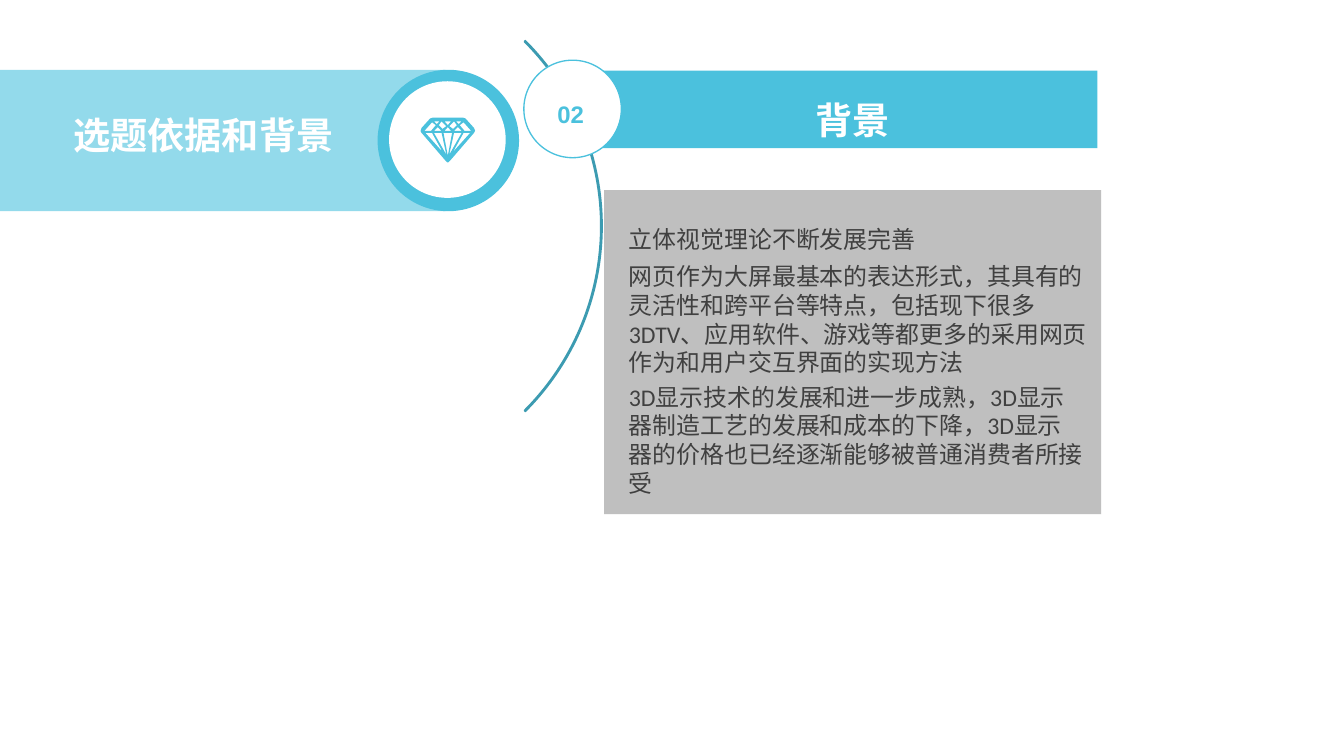
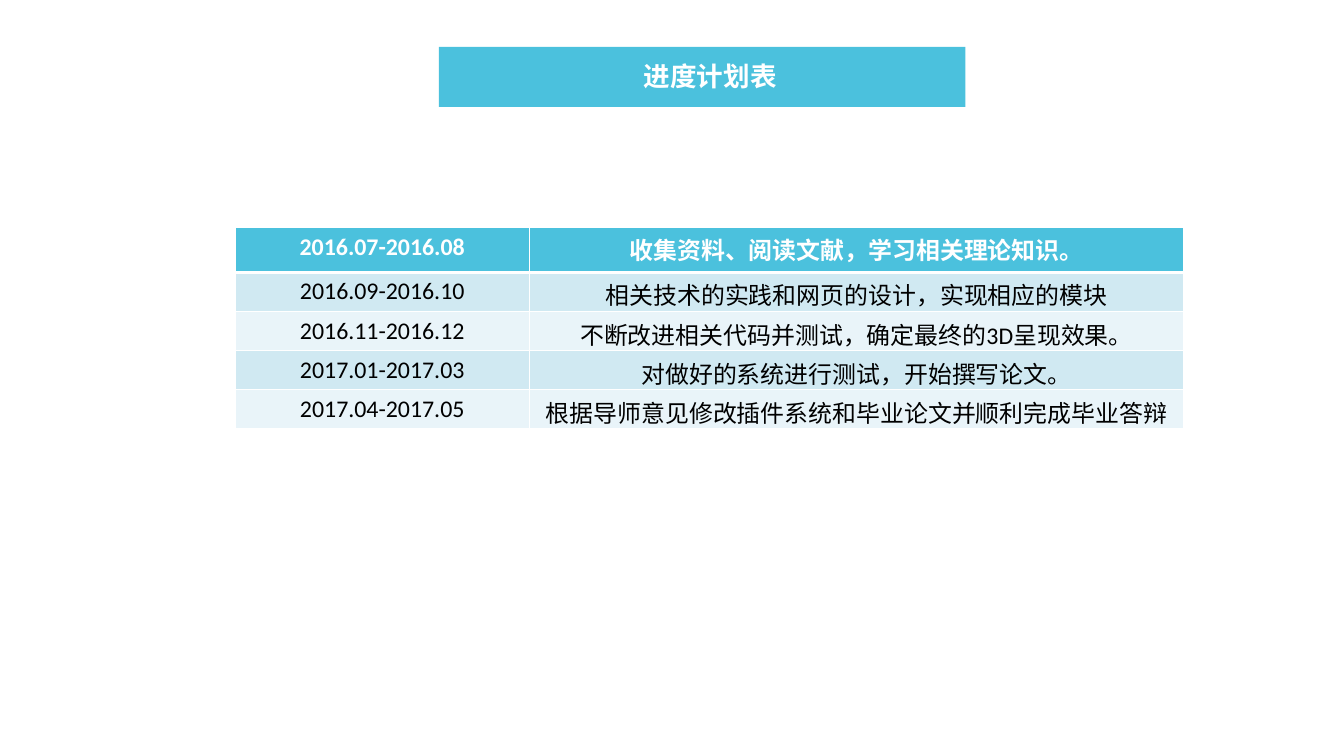
"""Build a two-slide thesis deck: topic background and schedule."""
from dataclasses import dataclass
from typing import NamedTuple

from lxml.etree import SubElement
from pptx import Presentation
from pptx.dml.color import RGBColor as RGB
from pptx.enum.shapes import MSO_SHAPE as SHAPE
from pptx.enum.text import MSO_ANCHOR as ANCHOR, MSO_AUTO_SIZE as FIT, PP_ALIGN as ALIGN
from pptx.oxml.ns import qn
from pptx.shapes.autoshape import Shape
from pptx.slide import Slide
from pptx.table import _Cell as Cell
from pptx.text.text import TextFrame
from pptx.util import Inches, Pt


@dataclass(frozen=True)
class Theme:
    main: str = "4BC1DD"
    pale: str = "93DAEB"
    arc: str = "3C9BB1"
    panel: str = "BFBFBF"
    body: str = "404040"
    white: str = "FFFFFF"
    black: str = "000000"
    stripes: tuple[str, str] = ("D0E9F2", "E9F4F9")
    head_font: str = "Arial"
    body_font: str = "Calibri"
    title: int = 28
    subtitle: int = 20
    text: int = 18


class Box(NamedTuple):
    x: float
    y: float
    w: float
    h: float


class Item(NamedTuple):
    kind: SHAPE
    box: Box
    fill: str | None
    line: str | None = None
    adj: tuple[float, ...] = ()


class Label(NamedTuple):
    box: Box
    text: str
    fmt: dict


class Phase(NamedTuple):
    dates: str
    task: str


T = Theme()
HEAD = dict(font=T.head_font, color=T.white, bold=True, spacing=1.2)

BANDS = [
    Item(SHAPE.RECTANGLE, Box(0, 0.73, 4.66, 1.48), T.pale),
    Item(SHAPE.OVAL, Box(3.95, 0.73, 1.48, 1.48), T.main),
    Item(SHAPE.OVAL, Box(4.07, 0.85, 1.22, 1.22), T.white),
    Item(SHAPE.BLOCK_ARC, Box(0.81, -0.38, 5.49, 5.49), None, T.arc, (189, 27, 0.003)),
    Item(SHAPE.RECTANGLE, Box(5.99, 0.74, 5.49, 0.81), T.main),
    Item(SHAPE.OVAL, Box(5.48, 0.63, 1.02, 1.02), T.white, T.main),
    Item(SHAPE.RECTANGLE, Box(6.32, 1.99, 5.2, 3.39), T.panel),
]
BODY = dict(size=T.text, color=T.body)
LABELS = [
    Label(Box(0.67, 1.03, 2.95, 0.62), "选题依据和背景", HEAD | dict(size=T.title, wrap=False)),
    Label(Box(5.73, 0.93, 0.48, 0.43), "02",
          HEAD | dict(size=T.text, color=T.main, align=ALIGN.CENTER, wrap=False)),
    Label(Box(6.92, 0.88, 3.99, 0.62), "背景", HEAD | dict(size=T.title, align=ALIGN.CENTER)),
    Label(Box(6.48, 2.3, 3.23, 0.4), "立体视觉理论不断发展完善", BODY | dict(wrap=False)),
    Label(Box(6.48, 2.69, 5.04, 1.31),
          "网页作为大屏最基本的表达形式，其具有的灵活性和跨平台等特点，包括现下很多"
          "3DTV、应用软件、游戏等都更多的采用网页作为和用户交互界面的实现方法", BODY),
    Label(Box(6.48, 3.95, 4.96, 1.92),
          "3D显示技术的发展和进一步成熟，3D显示器制造工艺的发展和成本的下降，"
          "3D显示器的价格也已经逐渐能够被普通消费者所接受", BODY),
]
PHASES = [
    Phase("2016.07-2016.08", "收集资料、阅读文献，学习相关理论知识。"),
    Phase("2016.09-2016.10", "相关技术的实践和网页的设计，实现相应的模块"),
    Phase("2016.11-2016.12", "不断改进相关代码并测试，确定最终的3D呈现效果。"),
    Phase("2017.01-2017.03", "对做好的系统进行测试，开始撰写论文。"),
    Phase("2017.04-2017.05", "根据导师意见修改插件系统和毕业论文并顺利完成毕业答辩"),
]

Points = list[tuple[float, float]]
GEM_AXIS = 4.685
GEM_EDGE: Points = [(4.68, 1.7), (4.66, 1.68), (4.41, 1.39), (4.4, 1.37), (4.41, 1.34),
                    (4.5, 1.24), (4.53, 1.23)]
SIDE_FACETS: list[Points] = [
    [(4.52, 1.28), (4.56, 1.31), (4.51, 1.37), (4.44, 1.37)],
    [(4.63, 1.59), (4.45, 1.39), (4.52, 1.39)],
    [(4.62, 1.39), (4.67, 1.62), (4.54, 1.39)],
    [(4.58, 1.33), (4.62, 1.37), (4.54, 1.37)],
    [(4.57, 1.3), (4.54, 1.27), (4.6, 1.27)],
    [(4.63, 1.35), (4.59, 1.31), (4.62, 1.27), (4.67, 1.32)],
]
MID_FACETS: list[Points] = [
    [(4.685, 1.31), (4.65, 1.27), (4.72, 1.27)],
    [(4.73, 1.39), (4.685, 1.63), (4.64, 1.39)],
    [(4.72, 1.37), (4.65, 1.37), (4.685, 1.33)],
]


def paint(shape: Shape, fill: str | None, line: str | None = None) -> None:
    shape.shadow.inherit = False
    if fill:
        shape.fill.solid()
        shape.fill.fore_color.rgb = RGB.from_string(fill)
    else:
        shape.fill.background()
    if line:
        shape.line.color.rgb = RGB.from_string(line)
        shape.line.width = Pt(1)
    else:
        shape.line.fill.background()


def add_item(s: Slide, item: Item) -> None:
    sp = s.shapes.add_shape(item.kind, *map(Inches, item.box))
    for i, value in enumerate(item.adj):
        sp.adjustments[i] = value
    paint(sp, item.fill, item.line)


def write(tf: TextFrame, text: str, *, size: int, color: str, font: str = T.body_font,
          bold: bool = False, align: ALIGN = ALIGN.LEFT, spacing: float = 1.0) -> None:
    p = tf.paragraphs[0]
    p.alignment, p.line_spacing = align, spacing
    r = p.add_run()
    r.text = text
    r.font.name, r.font.size, r.font.bold = font, Pt(size), bold
    r.font.color.rgb = RGB.from_string(color)


def add_text(s: Slide, box: Box, text: str, *, wrap: bool = True, **fmt) -> TextFrame:
    tf = s.shapes.add_textbox(*map(Inches, box)).text_frame
    tf.word_wrap = wrap
    tf.auto_size = FIT.SHAPE_TO_FIT_TEXT
    write(tf, text, **fmt)
    return tf


def mirror(points: Points) -> Points:
    return [(2 * GEM_AXIS - x, y) for x, y in reversed(points)]


def add_gem(s: Slide) -> None:
    outlines = [GEM_EDGE + mirror(GEM_EDGE), *SIDE_FACETS, *map(mirror, SIDE_FACETS), *MID_FACETS]
    scaled = [[(x * 1000, y * 1000) for x, y in points] for points in outlines]
    builder = s.shapes.build_freeform(*scaled[0][0], scale=Inches(1) / 1000)
    for i, points in enumerate(scaled):
        if i:
            builder.move_to(*points[0])
        builder.add_line_segments(points[1:], close=True)
    paint(builder.convert_to_shape(), T.main)


def add_borders(cell: Cell, top: int, bottom: int) -> None:
    tcPr = cell._tc.get_or_add_tcPr()
    for side, width in {"L": 1, "R": 1, "T": top, "B": bottom}.items():
        ln = SubElement(tcPr, qn(f"a:ln{side}"), w=str(Pt(width)))
        SubElement(SubElement(ln, qn("a:solidFill")), qn("a:srgbClr"), val=T.white)


def add_schedule(s: Slide, box: Box, widths: tuple[float, ...]) -> None:
    table = s.shapes.add_table(len(PHASES), len(widths), *map(Inches, box)).table
    for column, width in zip(table.columns, widths):
        column.width = Inches(width)
    for i, phase in enumerate(PHASES):
        head = i == 0
        table.rows[i].height = Inches(0.47 if head else 0.41)
        for cell, text in zip(table.rows[i].cells, phase):
            add_borders(cell, top=3 if i == 1 else 1, bottom=3 if head else 1)
            cell.fill.solid()
            cell.fill.fore_color.rgb = RGB.from_string(T.main if head else T.stripes[(i - 1) % 2])
            write(cell.text_frame, text, size=T.text, bold=head, align=ALIGN.CENTER,
                  color=T.white if head else T.black)


def background_slide(s: Slide) -> None:
    for item in BANDS:
        add_item(s, item)
    add_gem(s)
    for label in LABELS:
        add_text(s, label.box, label.text, **label.fmt)


def schedule_slide(s: Slide) -> None:
    add_item(s, Item(SHAPE.RECTANGLE, Box(4.59, 0.49, 5.51, 0.63), T.main))
    tf = add_text(s, Box(4.91, 0.49, 5.04, 0.55), "进度计划表",
                  **HEAD, size=T.subtitle, align=ALIGN.CENTER)
    tf.auto_size = FIT.NONE
    tf.vertical_anchor = ANCHOR.MIDDLE
    tf.margin_left = tf.margin_right = 0
    tf.margin_top = tf.margin_bottom = Inches(0.11)
    add_schedule(s, Box(2.46, 2.38, 9.92, 2.11), (3.08, 6.84))


def main() -> None:
    prs = Presentation()
    prs.slide_width, prs.slide_height = Inches(14.06), Inches(7.91)
    for build in (background_slide, schedule_slide):
        build(prs.slides.add_slide(prs.slide_layouts[6]))
    prs.save("out.pptx")


if __name__ == "__main__":
    main()
